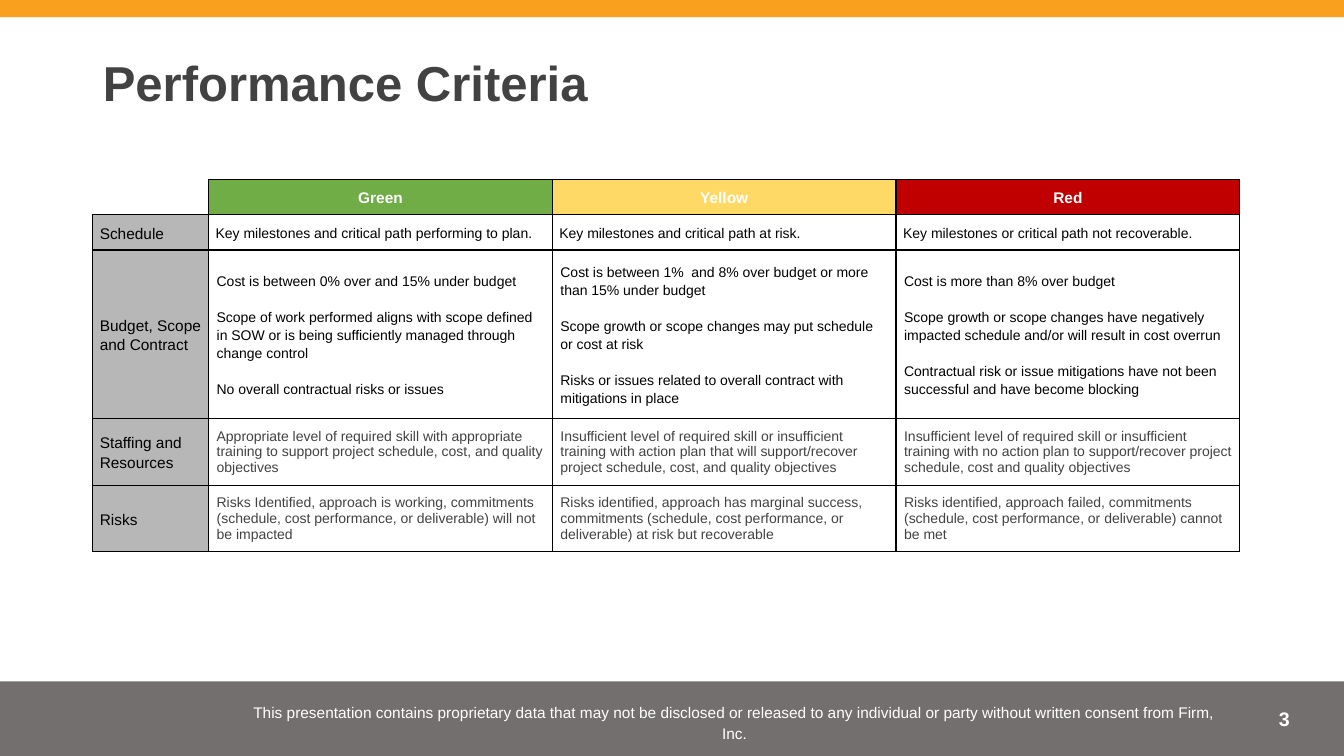
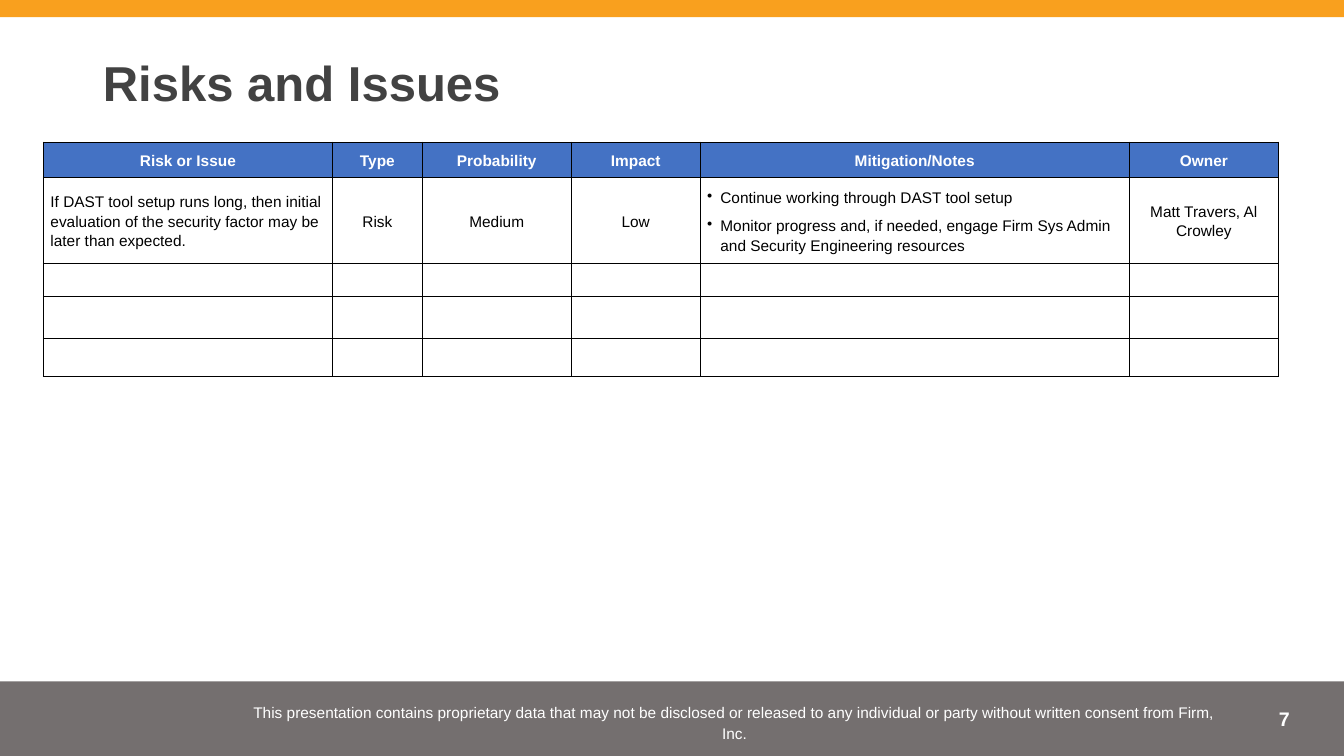
from dataclasses import dataclass, replace

import pptx
import pptx.dml.color
import pptx.enum.shapes
import pptx.enum.text
import pptx.oxml.ns
import pptx.util
from lxml import etree

ALIGN = pptx.enum.text.PP_ALIGN
MIDDLE = pptx.enum.text.MSO_ANCHOR.MIDDLE
FONT = "Arial"
COLORS = {
    "orange": "F9A01E", "footer": "4F4949", "ink": "424242", "black": "000000",
    "white": "FFFFFF", "green": "70AD47", "yellow": "FFD966", "red": "C00000",
    "label": "B7B7B7", "blue": "4472C4",
}
SLIDE_WIDTH = pptx.util.Inches(13.33)
SLIDE_HEIGHT = pptx.util.Inches(7.5)

TOP_BAND = (0, 0, 100, 2.27)
FOOTER_BAND = (0, 90.13, 100, 9.87)
NOTICE_BOX = (17.03, 91.87, 75.24, 7.07)
NUMBER_BOX = (88.6, 92.8, 8.1, 5.33)
TITLE_BOX = (6.9, 6.13, 86.27, 10.27)
CRITERIA_BOX = (6.9, 23.73, 85.35, 46.93)
RISKS_BOX = (3.23, 18.8, 91.9, 30.13)

NOTICE = ("This presentation contains proprietary data that may not be disclosed or "
          "released to any individual or party without written consent from Firm, Inc.")

CRITERIA_HEADS = [("Green", "green"), ("Yellow", "yellow"), ("Red", "red")]
CRITERIA = [
    ("Schedule", [
        ["Key milestones and critical path performing to plan."],
        ["Key milestones and critical path at risk."],
        ["Key milestones or critical path not recoverable."],
    ]),
    ("Budget, Scope and Contract", [
        ["Cost is between 0% over and 15% under budget",
         "Scope of work performed aligns with scope defined in SOW or is being "
         "sufficiently managed through change control",
         "No overall contractual risks or issues"],
        ["Cost is between 1%  and 8% over budget or more than 15% under budget",
         "Scope growth or scope changes may put schedule or cost at risk",
         "Risks or issues related to overall contract with mitigations in place"],
        ["Cost is more than 8% over budget",
         "Scope growth or scope changes have negatively impacted schedule and/or "
         "will result in cost overrun",
         "Contractual risk or issue mitigations have not been successful and have "
         "become blocking"],
    ]),
    ("Staffing and Resources", [
        ["Appropriate level of required skill with appropriate training to support "
         "project schedule, cost, and quality objectives"],
        ["Insufficient level of required skill or insufficient training with action "
         "plan that will support/recover project schedule, cost, and quality objectives"],
        ["Insufficient level of required skill or insufficient training with no action "
         "plan to support/recover project schedule, cost and quality objectives"],
    ]),
    ("Risks", [
        ["Risks Identified, approach is working, commitments (schedule, cost "
         "performance, or deliverable) will not be impacted"],
        ["Risks identified, approach has marginal success, commitments (schedule, cost "
         "performance, or deliverable) at risk but recoverable"],
        ["Risks identified, approach failed, commitments (schedule, cost performance, "
         "or deliverable) cannot be met"],
    ]),
]

RISK_HEADS = ["Risk or Issue", "Type", "Probability", "Impact", "Mitigation/Notes", "Owner"]
RISK_ENTRY = [
    ["If DAST tool setup runs long, then initial evaluation of the security factor "
     "may be later than expected."],
    ["Risk"],
    ["Medium"],
    ["Low"],
    ["Continue working through DAST tool setup",
     "Monitor progress and, if needed, engage Firm Sys Admin and Security "
     "Engineering resources"],
    ["Matt Travers, Al Crowley"],
]


@dataclass(frozen=True)
class Style:
    """Text and cell formatting."""
    size: float = 11
    color: str = "black"
    bold: bool = False
    align: ALIGN = ALIGN.LEFT
    line: float = 1.15
    gap: float = 0
    margin: float = 0.07
    bullet: bool = False
    fill: str = ""


CENTERED = Style(align=ALIGN.CENTER)
HEAD = replace(CENTERED, color="white", bold=True)
LABEL = Style(fill="label")
BULLETS = Style(bullet=True, gap=6)
DETAIL = Style(size=10, color="ink", line=1, margin=0.08)
CRITERIA_STYLES = [
    Style(size=10),
    Style(size=10, gap=13, margin=0.08),
    DETAIL,
    DETAIL,
]
TITLE = Style(size=35, color="ink", bold=True, line=0.9)
FOOTER_TEXT = Style(color="white", align=ALIGN.CENTER)
PAGE_NUMBER = Style(size=14, color="white", bold=True, align=ALIGN.RIGHT, line=1)


def rgb(name):
    """Look up a palette colour."""
    return pptx.dml.color.RGBColor.from_string(COLORS[name])


def place(box):
    """Turn percentages of the slide into left, top, width and height."""
    sides = (SLIDE_WIDTH, SLIDE_HEIGHT) * 2
    return [round(side * share / 100) for side, share in zip(sides, box)]


def child(parent, tag, **attributes):
    """Append a DrawingML element."""
    return etree.SubElement(parent, pptx.oxml.ns.qn(f"a:{tag}"), attributes)


def write(frame, texts, style):
    """Write formatted paragraphs into a text frame."""
    for index, text in enumerate(texts):
        paragraph = frame.paragraphs[0] if index == 0 else frame.add_paragraph()
        paragraph.text = text
        if style.bullet:
            indent = pptx.util.Inches(0.13)
            properties = paragraph._p.get_or_add_pPr()
            properties.set("marL", str(indent))
            properties.set("indent", str(-indent))
            child(properties, "buChar", char="•")
        paragraph.alignment = style.align
        paragraph.line_spacing = style.line
        if index < len(texts) - 1:
            paragraph.space_after = pptx.util.Pt(style.gap)
        paragraph.font.name = FONT
        paragraph.font.size = pptx.util.Pt(style.size)
        paragraph.font.bold = style.bold
        paragraph.font.color.rgb = rgb(style.color)


def add_band(slide, box, color):
    """Add a full-width band."""
    band = slide.shapes.add_shape(pptx.enum.shapes.MSO_SHAPE.RECTANGLE, *place(box))
    band.shadow.inherit = False
    band.fill.solid()
    band.fill.fore_color.rgb = rgb(color)
    band.line.fill.background()
    return band


def add_text(slide, box, text, style, anchor):
    """Add a wrapped text box."""
    label = slide.shapes.add_textbox(*place(box))
    label.text_frame.word_wrap = True
    label.text_frame.vertical_anchor = anchor
    write(label.text_frame, [text], style)
    return label


def brand_layout(slide):
    """Put the bands and the notice on the layout of the slide."""
    footer = add_band(slide, FOOTER_BAND, "footer")
    tint = footer.element.find(".//" + pptx.oxml.ns.qn("a:srgbClr"))
    child(tint, "alpha", val="79000")
    top = add_band(slide, TOP_BAND, "orange")
    notice = add_text(slide, NOTICE_BOX, NOTICE, FOOTER_TEXT, MIDDLE)
    tree = slide.slide_layout.shapes.element
    for index, part in enumerate((footer, top, notice)):
        tree.insert(2 + index, part.element)


def add_slide(deck, title, number):
    """Add a slide with its title and page number."""
    slide = deck.slides.add_slide(deck.slide_layouts[5])
    heading = slide.shapes.title
    heading.left, heading.top, heading.width, heading.height = place(TITLE_BOX)
    frame = heading.text_frame
    frame.auto_size = pptx.enum.text.MSO_AUTO_SIZE.NONE
    frame.vertical_anchor = MIDDLE
    write(frame, [title], TITLE)
    add_text(slide, NUMBER_BOX, number, PAGE_NUMBER, pptx.enum.text.MSO_ANCHOR.TOP)
    return slide


def add_grid(slide, box, columns, rows):
    """Add a plain table whose columns and rows share the box by weight."""
    left, top, width, height = place(box)
    grid = slide.shapes.add_table(len(rows), len(columns), left, top, width, height).table
    grid.first_row = grid.horz_banding = False
    for column, weight in zip(grid.columns, columns):
        column.width = round(width * weight / sum(columns))
    for row, weight in zip(grid.rows, rows):
        row.height = round(height * weight / sum(rows))
    return grid


def fill_cell(cell, texts, style, borders="LRTB"):
    """Write and format a cell with the given borders."""
    cell.margin_left = cell.margin_right = pptx.util.Inches(style.margin)
    cell.margin_top = cell.margin_bottom = pptx.util.Inches(style.margin)
    cell.vertical_anchor = MIDDLE
    write(cell.text_frame, texts, style)
    if style.fill:
        cell.fill.solid()
        cell.fill.fore_color.rgb = rgb(style.fill)
    else:
        cell.fill.background()
    properties = cell._tc.get_or_add_tcPr()
    for index, side in enumerate("LRTB"):
        border = child(properties, f"ln{side}", w=str(pptx.util.Pt(1)))
        if side in borders:
            child(child(border, "solidFill"), "srgbClr", val=COLORS["black"])
        else:
            child(border, "noFill")
        properties.insert(index, border)


def add_criteria(slide, box):
    """Add the table of performance criteria."""
    grid = add_grid(slide, box, [1.15, 3.41, 3.41, 3.41], [0.33, 0.33, 1.6, 0.63, 0.63])
    fill_cell(grid.cell(0, 0), [""], Style(), borders="RB")
    for column, (head, color) in enumerate(CRITERIA_HEADS, 1):
        fill_cell(grid.cell(0, column), [head], replace(HEAD, fill=color))
    for row, ((label, levels), style) in enumerate(zip(CRITERIA, CRITERIA_STYLES), 1):
        fill_cell(grid.cell(row, 0), [label], LABEL)
        for column, texts in enumerate(levels, 1):
            fill_cell(grid.cell(row, column), texts, style)


def add_risks(slide, box):
    """Add the risk register with its open rows."""
    rows = [0.34, 0.81, 0.31, 0.42, 0.38]
    grid = add_grid(slide, box, [2.87, 0.89, 1.48, 1.28, 4.26, 1.48], rows)
    styles = [Style(), CENTERED, CENTERED, CENTERED, BULLETS, CENTERED]
    for column, (head, texts, style) in enumerate(zip(RISK_HEADS, RISK_ENTRY, styles)):
        fill_cell(grid.cell(0, column), [head], replace(HEAD, fill="blue"))
        fill_cell(grid.cell(1, column), texts, style)
        for row in range(2, len(rows)):
            fill_cell(grid.cell(row, column), [""], Style())


def main():
    """Build and save the deck."""
    deck = pptx.Presentation()
    deck.slide_width, deck.slide_height = SLIDE_WIDTH, SLIDE_HEIGHT
    criteria = add_slide(deck, "Performance Criteria", "3")
    brand_layout(criteria)
    add_criteria(criteria, CRITERIA_BOX)
    risks = add_slide(deck, "Risks and Issues", "7")
    add_risks(risks, RISKS_BOX)
    deck.save("out.pptx")


if __name__ == "__main__":
    main()
